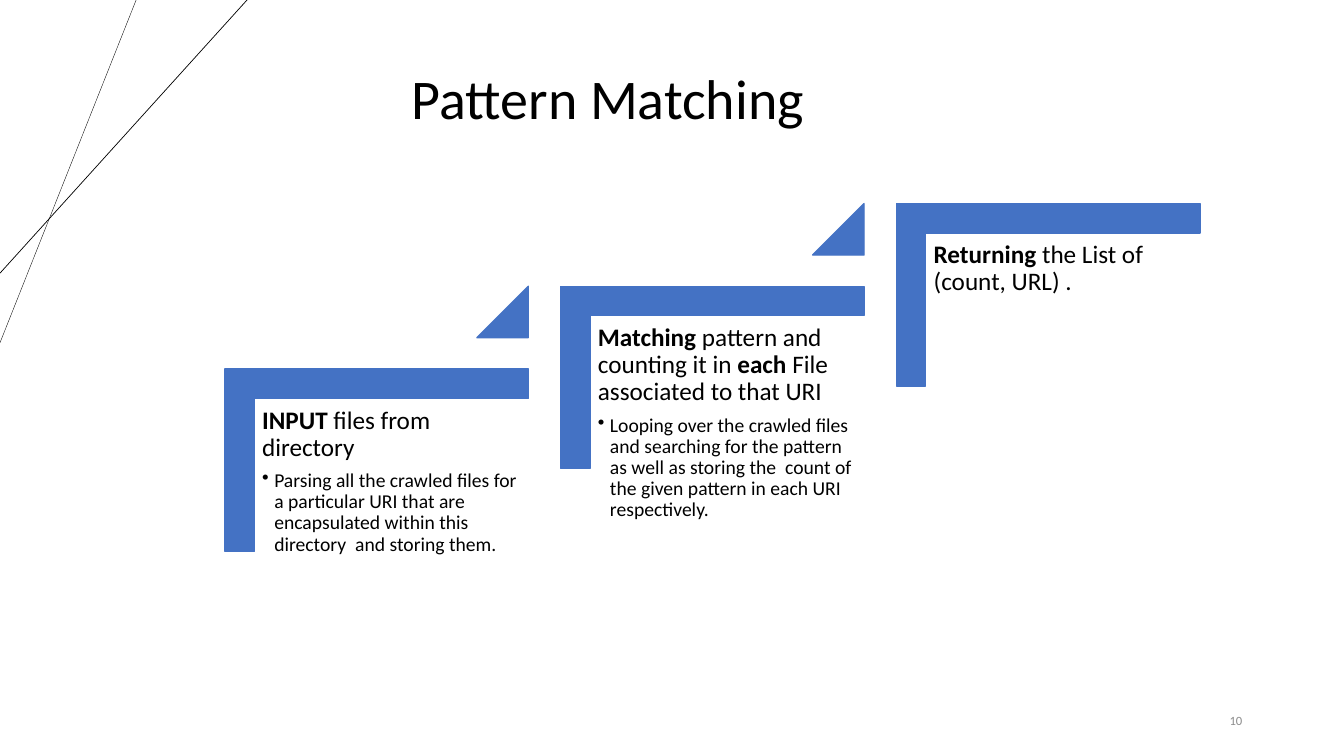
from dataclasses import dataclass

from lxml import etree
from pptx import Presentation
from pptx import util as u
from pptx.dml.color import RGBColor
from pptx.enum import shapes, text
from pptx.oxml.ns import qn

PX = 9144


@dataclass(frozen=True)
class Theme:
    font: str = "Calibri"
    ink: str = "000000"
    accent: str = "4472C4"
    muted: str = "8C8C8C"
    title: int = 40
    heading: int = 18
    detail: int = 14
    number: int = 9


THEME = Theme()
FIRST_STEP = (253, 397)
STEP_RIGHT, STEP_UP = 333, 82

STEPS = [
    (
        [("INPUT", True), (" files from directory", False)],
        "Parsing all the crawled files for a particular URI that are "
        "encapsulated within this directory  and storing them.",
    ),
    (
        [("Matching", True), (" pattern and counting it in ", False),
         ("each", True), (" File  associated to that URI", False)],
        "Looping over the crawled files and searching for the pattern as well "
        "as storing the  count of the given pattern in each URI respectively.",
    ),
    ([("Returning", True), (" the List of (count, URL) .", False)], None),
]


def px(*values):
    return [u.Emu(value * PX) for value in values]


def add_box(page, area, inset=(10, 5), anchor=text.MSO_ANCHOR.TOP):
    frame = page.shapes.add_textbox(*px(*area)).text_frame
    frame.word_wrap = True
    frame.vertical_anchor = anchor
    frame.margin_left = frame.margin_right = px(inset[0])[0]
    frame.margin_top = frame.margin_bottom = px(inset[1])[0]
    return frame


def write(para, spans, size, color=THEME.ink, align=text.PP_ALIGN.LEFT,
          spacing=1.0, after=0, bullet_indent=0):
    para.alignment = align
    para.line_spacing = spacing
    para.space_after = u.Pt(after)
    if bullet_indent:
        indent = px(bullet_indent)[0]
        properties = para._p.get_or_add_pPr()
        properties.set("marL", str(indent))
        properties.set("indent", str(-indent))
        etree.SubElement(properties, qn("a:buChar")).set("char", "•")
    for words, bold in spans:
        span = para.add_run()
        span.text = words
        span.font.name = THEME.font
        span.font.size = u.Pt(size)
        span.font.bold = bold
        span.font.color.rgb = RGBColor.from_string(color)


def add_accent(page, kind, area, adjustments, rotation=0):
    shape = page.shapes.add_shape(kind, *px(*area))
    shape.shadow.inherit = False
    shape.rotation = rotation
    for index, value in enumerate(adjustments):
        shape.adjustments[index] = value
    color = RGBColor.from_string(THEME.accent)
    shape.fill.solid()
    shape.fill.fore_color.rgb = color
    shape.line.color.rgb = color
    shape.line.width = u.Pt(1)


def add_line(page, start, end, width):
    line = page.shapes.add_connector(
        shapes.MSO_CONNECTOR.STRAIGHT, *px(*start, *end))
    line.line.color.rgb = RGBColor.from_string(THEME.ink)
    line.line.width = u.Pt(width)
    etree.SubElement(line._element.spPr, qn("a:effectLst"))


def add_step(page, left, top, heading, detail):
    add_accent(page, shapes.MSO_SHAPE.CORNER, (left + 30, top - 91, 181, 301),
               (0.161, 0.161), rotation=90)
    frame = add_box(page, (left, top, 272, 239), inset=(7, 7))
    write(frame.paragraphs[0], heading, THEME.heading, spacing=0.9, after=6.3)
    if detail:
        write(frame.add_paragraph(), [(detail, False)], THEME.detail,
              spacing=0.9, after=2, bullet_indent=12)


def add_step_marker(page, left, top):
    add_accent(page, shapes.MSO_SHAPE.ISOSCELES_TRIANGLE,
               (left + 220, top - 113, 51, 51), (1,))


def main():
    deck = Presentation()
    deck.slide_width, deck.slide_height = px(1333, 750)
    page = deck.slides.add_slide(deck.slide_layouts[6])

    add_line(page, (135, 0), (0, 340), 0.25)
    add_line(page, (245, 0), (0, 271), 0.5)

    for index, (heading, detail) in enumerate(STEPS):
        left = FIRST_STEP[0] + index * STEP_RIGHT
        top = FIRST_STEP[1] - index * STEP_UP
        add_step(page, left, top, heading, detail)
        if index < len(STEPS) - 1:
            add_step_marker(page, left, top)

    title = add_box(page, (206, 58, 794, 77))
    title.auto_size = text.MSO_AUTO_SIZE.SHAPE_TO_FIT_TEXT
    write(title.paragraphs[0], [("Pattern Matching", False)], THEME.title,
          align=text.PP_ALIGN.CENTER)

    number = add_box(page, (942, 695, 300, 40), anchor=text.MSO_ANCHOR.MIDDLE)
    write(number.paragraphs[0], [("10", False)], THEME.number,
          color=THEME.muted, align=text.PP_ALIGN.RIGHT)

    deck.save("out.pptx")


if __name__ == "__main__":
    main()
